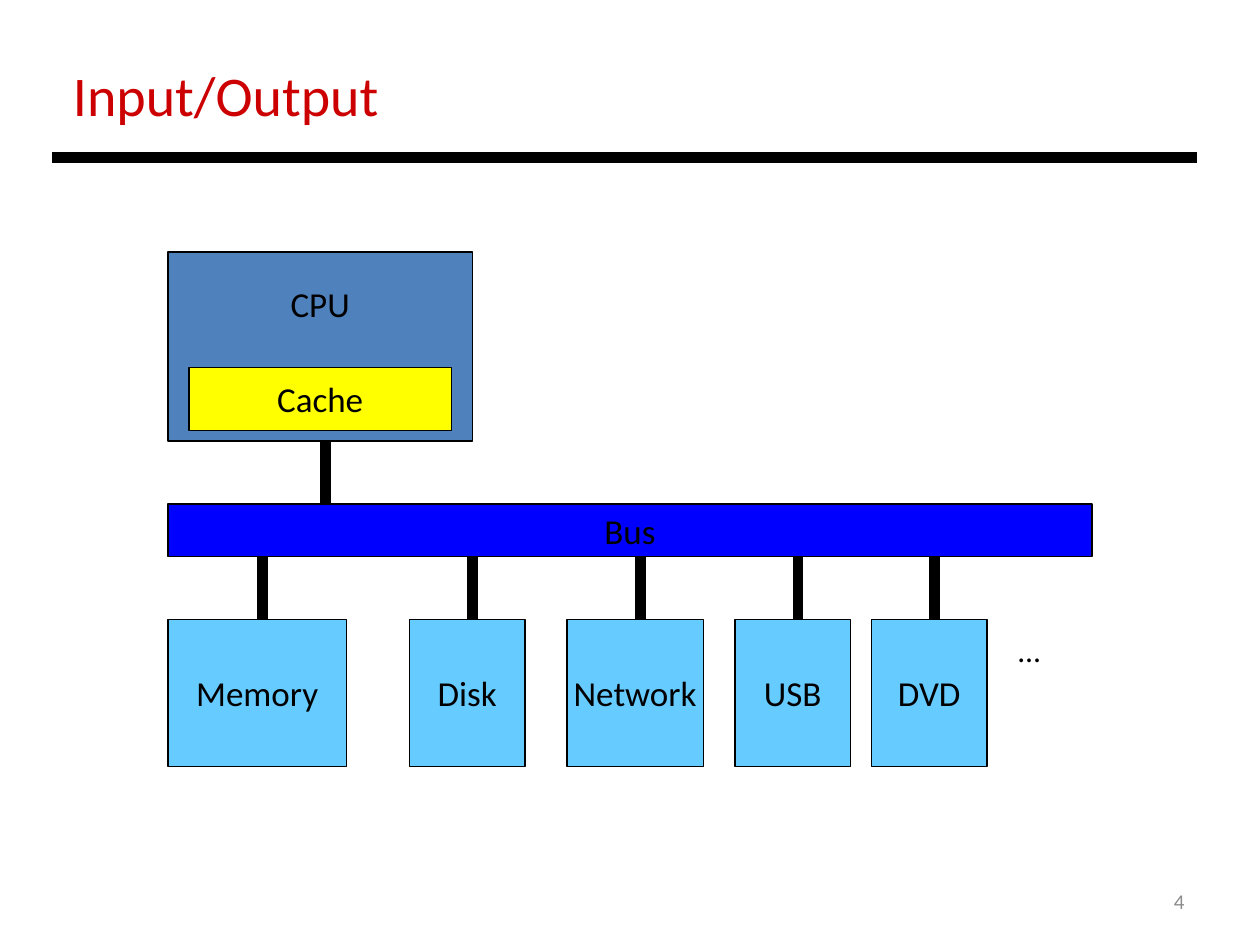
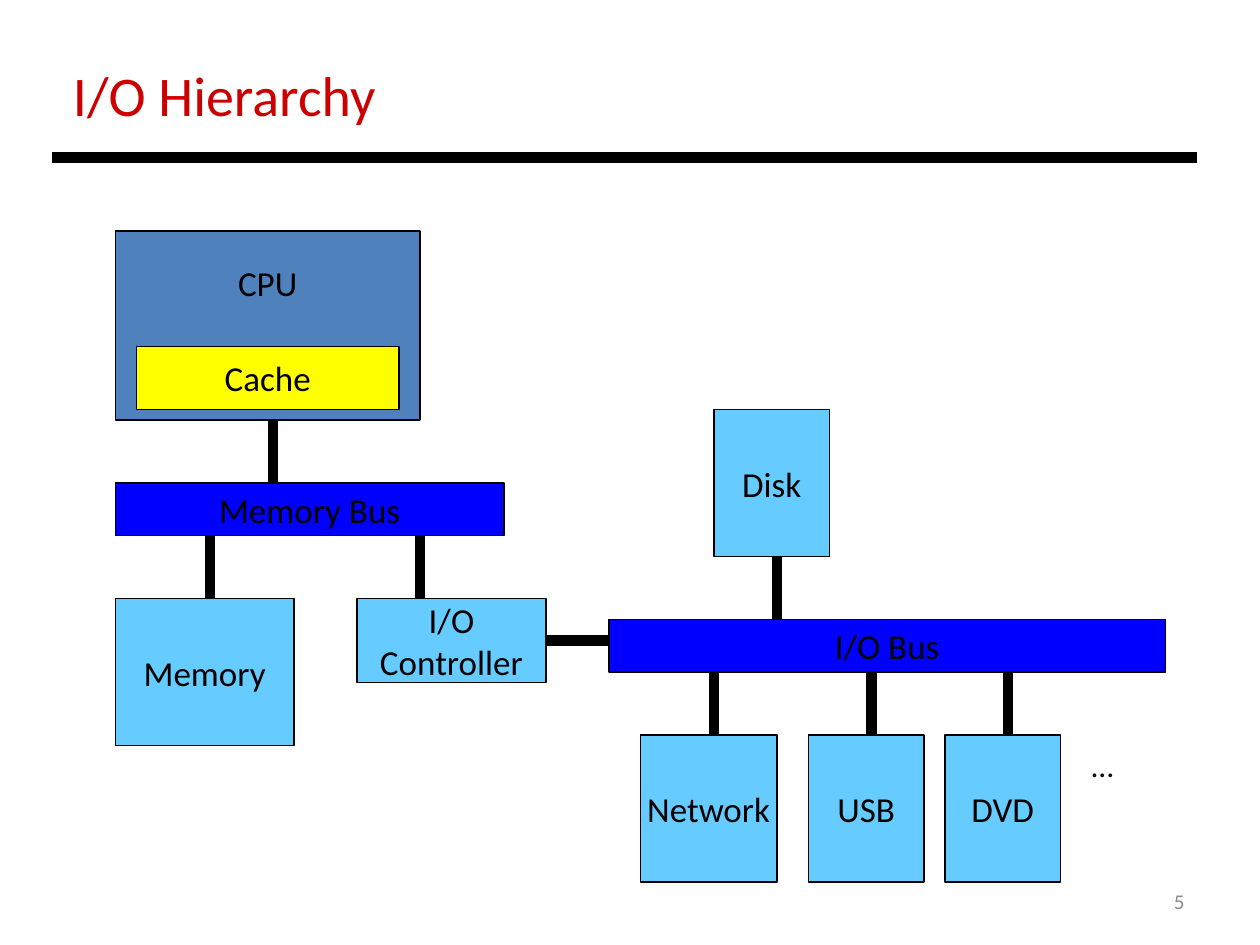
from pptx import Presentation
from pptx.dml.color import RGBColor
from pptx.enum.shapes import MSO_CONNECTOR as CONN, MSO_SHAPE as SHAPE
from pptx.enum.text import MSO_ANCHOR as ANCHOR, MSO_AUTO_SIZE as FIT, PP_ALIGN as ALIGN
from pptx.oxml.ns import qn
from pptx.util import Inches, Pt
from lxml.etree import SubElement

# Shared style: the slide is a grid of 120 columns by 90 rows
COLS, ROWS = 120, 90
FONT = "Calibri"
BLACK, RED, GREY = "000000", "CC0000", "8C8C8C"
CPU_BLUE, CACHE_YELLOW, BUS_BLUE, DEVICE_BLUE = "4F81BD", "FFFF00", "0000FF", "66CCFF"
LINK = 6            # rows between a bus and its neighbours
BUS_H = 5
DEVICE_H = 14


def rgb(color):
    return RGBColor.from_string(color)


class Deck:
    def __init__(self):
        self.prs = Presentation()
        self.prs.slide_width, self.prs.slide_height = Inches(10), Inches(7.5)
        self.s = None

    def grid(self, x, y):
        return int(self.prs.slide_width * x / COLS), int(self.prs.slide_height * y / ROWS)

    def label(self, sp, text, size, color=BLACK, align=ALIGN.CENTER, anchor=ANCHOR.MIDDLE):
        tf = sp.text_frame
        tf.text = text
        tf.word_wrap = False
        tf.vertical_anchor = anchor
        for p in tf.paragraphs:
            p.alignment = align
            p.font.name, p.font.size = FONT, Pt(size)
            p.font.color.rgb = rgb(color)
        return tf

    # Basic elements
    def slide(self, title, title_w, number):
        self.s = self.prs.slides.add_slide(self.prs.slide_layouts[5])
        sp = self.s.shapes.title
        sp.left, sp.top = self.grid(5.75, 5.2)
        sp.width, sp.height = self.grid(title_w, 7.6)
        tf = self.label(sp, title, 32, RED, ALIGN.LEFT, ANCHOR.TOP)
        tf.auto_size = FIT.SHAPE_TO_FIT_TEXT
        self.line(5, 15, 114, 15)
        self.text(86, 83.4, 28, 4.8, str(number), 12, GREY, ALIGN.RIGHT)

    def text(self, x, y, w, h, text, size, color=BLACK, align=ALIGN.LEFT, anchor=ANCHOR.MIDDLE):
        sp = self.s.shapes.add_textbox(*self.grid(x, y), *self.grid(w, h))
        tf = self.label(sp, text, size, color, align, anchor)
        tf.word_wrap = True

    def box(self, x, y, w, h, text, fill):
        sp = self.s.shapes.add_shape(SHAPE.RECTANGLE, *self.grid(x, y), *self.grid(w, h))
        sp.shadow.inherit = False
        sp.fill.solid()
        sp.fill.fore_color.rgb = rgb(fill)
        sp.line.color.rgb = rgb(BLACK)
        sp.line.width = Pt(0.75)
        return self.label(sp, text, 20)

    def line(self, x1, y1, x2, y2):
        cn = self.s.shapes.add_connector(CONN.STRAIGHT, *self.grid(x1, y1), *self.grid(x2, y2))
        cn.line.color.rgb = rgb(BLACK)
        cn.line.width = Pt(6)
        SubElement(cn._element.spPr, qn("a:effectLst"))

    # Parts of the machine
    def link(self, x, y):
        self.line(x, y, x, y + LINK)

    def bus(self, x, y, w, name):
        self.box(x, y, w, BUS_H, name, BUS_BLUE)

    def device(self, x, y, w, name, h=DEVICE_H):
        self.box(x, y, w, h, name, DEVICE_BLUE)

    def processor(self, x, y, bus_w, bus_name):
        """CPU with cache, the bus below it and the memory; returns the bus's lower edge."""
        tf = self.box(x, y, 29, 18, "CPU", CPU_BLUE)
        tf.margin_bottom = Inches(0.73)
        self.box(x + 2, y + 11, 25, 6, "Cache", CACHE_YELLOW)
        self.link(x + 15, y + 18)
        self.bus(x, y + 18 + LINK, bus_w, bus_name)
        below = y + 18 + LINK + BUS_H
        self.link(x + 9, below)
        self.device(x, below + LINK, 17, "Memory")
        return below

    def peripherals(self, x, below):
        """Network, USB, DVD and the ellipsis, hanging from a bus."""
        for name, dx, w, link_dx in (("Network", 0, 13, 7), ("USB", 16, 11, 22), ("DVD", 29, 11, 35)):
            self.link(x + link_dx, below)
            self.device(x + dx, below + LINK, w, name)
        self.text(x + 41.8, below + LINK + 0.5, 8.4, 8.4, "…", 18, anchor=ANCHOR.TOP)


def single_bus(d):
    d.slide("Input/Output", 31.7, 4)
    below = d.processor(16, 24, 88, "Bus")
    d.link(45, below)
    d.device(39, below + LINK, 11, "Disk")
    d.peripherals(54, below)


def bus_hierarchy(d):
    d.slide("I/O Hierarchy", 33.8, 5)
    below = d.processor(11, 22, 37, "Memory Bus")
    # Controller joins the two buses
    d.link(40, below)
    d.device(34, below + LINK, 18, "I/O\nController", h=8)
    d.line(58, 61, 52, 61)
    # I/O bus with the disk above and the other devices below
    io_top = 59
    d.bus(58, io_top, 53, "I/O Bus")
    d.device(68, io_top - LINK - DEVICE_H, 11, "Disk")
    d.link(74, io_top - LINK)
    d.peripherals(61, io_top + BUS_H)


def main():
    d = Deck()
    single_bus(d)
    bus_hierarchy(d)
    d.prs.save("out.pptx")


if __name__ == "__main__":
    main()
